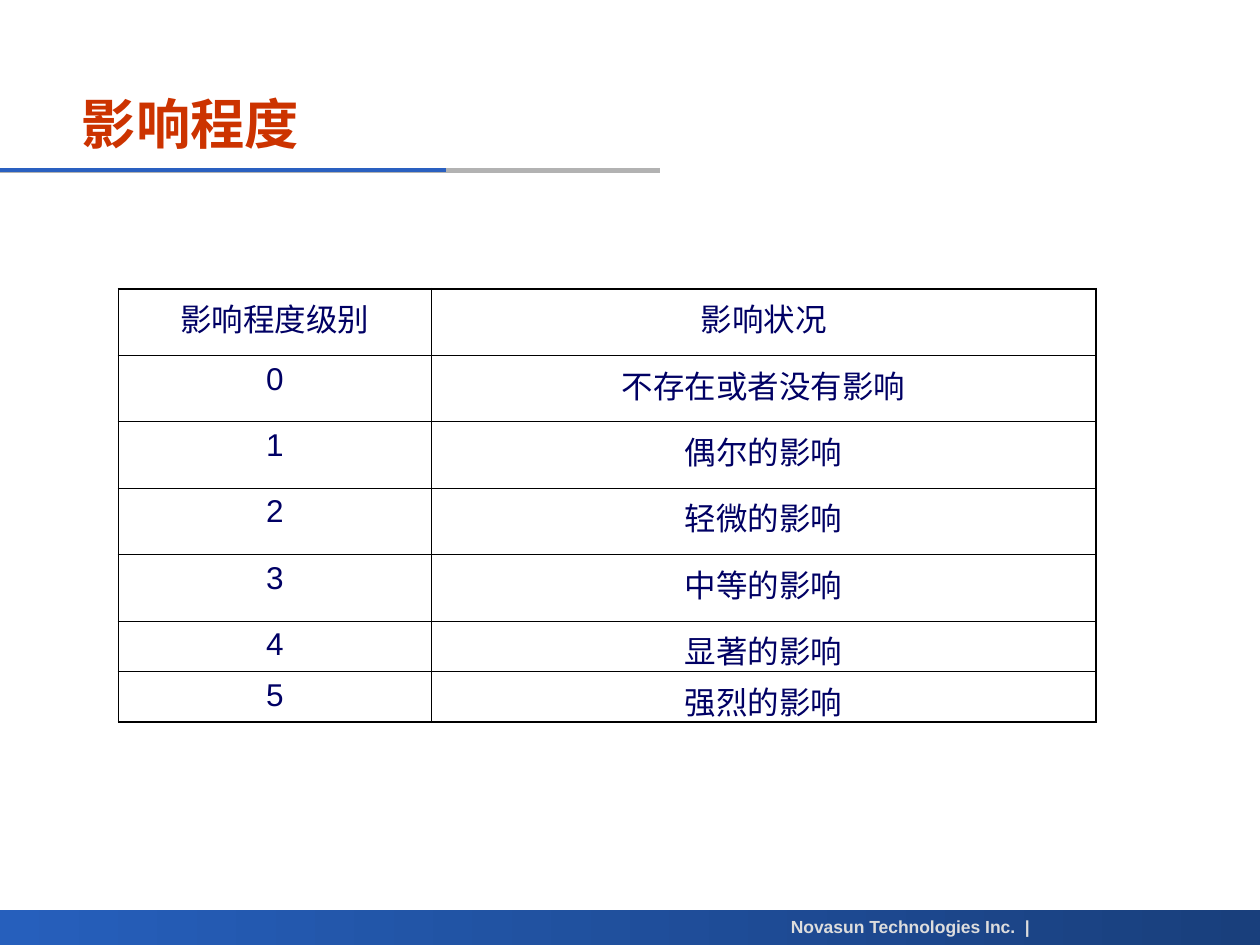
from lxml.etree import SubElement
from pptx import Presentation
from pptx.dml.color import RGBColor
from pptx.enum.shapes import MSO_CONNECTOR, MSO_SHAPE
from pptx.enum.text import MSO_ANCHOR, PP_ALIGN
from pptx.oxml.ns import qn
from pptx.util import Cm, Pt

TITLE = "影响程度"
FOOTER = "Novasun Technologies Inc.  |"
LEVELS = [
    ("影响程度级别", "影响状况"),
    ("0", "不存在或者没有影响"),
    ("1", "偶尔的影响"),
    ("2", "轻微的影响"),
    ("3", "中等的影响"),
    ("4", "显著的影响"),
    ("5", "强烈的影响"),
]
COLUMN_WIDTHS = [6.3, 13.41]
ROW_HEIGHTS = [1.34] * 5 + [1.02] * 2

FONT = "Arial"
RED = RGBColor(0xCC, 0x33, 0x00)
NAVY = RGBColor(0x00, 0x00, 0x64)
BLACK = RGBColor(0x00, 0x00, 0x00)
BLUE = RGBColor(0x2A, 0x60, 0xC0)
GREY = RGBColor(0xB2, 0xB2, 0xB2)
PALE_GREY = RGBColor(0xDD, 0xDD, 0xDD)
BAND_LIGHT = RGBColor(0x26, 0x5F, 0xBC)
BAND_DARK = RGBColor(0x19, 0x3F, 0x7C)
OUTER, INNER = Pt(1.08), Pt(0.45)


def write(frame, text, size, color, bold=False, align=PP_ALIGN.LEFT, spacing=0):
    paragraph = frame.paragraphs[0]
    paragraph.alignment = align
    if spacing:
        paragraph.space_before = paragraph.space_after = Pt(spacing)
    run = paragraph.add_run()
    run.text = text
    run.font.name = FONT
    run.font.size = Pt(size)
    run.font.bold = bold
    run.font.color.rgb = color


def add_label(slide, left, top, width, height, text, wrap=True,
              anchor=MSO_ANCHOR.TOP, **text_format):
    frame = slide.shapes.add_textbox(Cm(left), Cm(top), Cm(width), Cm(height)).text_frame
    frame.word_wrap = wrap
    frame.vertical_anchor = anchor
    write(frame, text, **text_format)


def add_rule(slide, length, color, weight):
    rule = slide.shapes.add_connector(
        MSO_CONNECTOR.STRAIGHT, 0, Cm(3.43), Cm(length), Cm(3.43))
    rule.line.color.rgb = color
    rule.line.width = Pt(weight)
    SubElement(rule.element.spPr, qn("a:effectLst"))


def add_footer_band(slide):
    band = slide.shapes.add_shape(
        MSO_SHAPE.RECTANGLE, 0, Cm(18.34), Cm(25.4), Cm(0.71))
    band.shadow.inherit = False
    band.line.fill.background()
    band.fill.gradient()
    band.fill.gradient_angle = 0
    for stop, color in zip(band.fill.gradient_stops, (BAND_LIGHT, BAND_DARK)):
        stop.color.rgb = color


def set_borders(cell, **widths):
    properties = cell._tc.get_or_add_tcPr()
    for side, width in widths.items():
        line = SubElement(properties, qn(f"a:ln{side}"), w=str(width))
        fill = SubElement(line, qn("a:solidFill"))
        SubElement(fill, qn("a:srgbClr"), val=str(BLACK))


def add_level_table(slide):
    table = slide.shapes.add_table(
        len(LEVELS), len(COLUMN_WIDTHS), Cm(2.39), Cm(5.82),
        Cm(sum(COLUMN_WIDTHS)), Cm(sum(ROW_HEIGHTS))).table
    table.first_row = table.horz_banding = False
    for column, width in zip(table.columns, COLUMN_WIDTHS):
        column.width = Cm(width)
    for row, height in zip(table.rows, ROW_HEIGHTS):
        row.height = Cm(height)
    last_row, last_column = len(LEVELS) - 1, len(COLUMN_WIDTHS) - 1
    for r, level in enumerate(LEVELS):
        for c, text in enumerate(level):
            cell = table.cell(r, c)
            set_borders(cell,
                        L=OUTER if c == 0 else INNER,
                        R=OUTER if c == last_column else INNER,
                        T=OUTER if r == 0 else INNER,
                        B=OUTER if r == last_row else INNER)
            cell.fill.background()
            write(cell.text_frame, text, size=18, color=NAVY,
                  align=PP_ALIGN.CENTER, spacing=4.5)


def main():
    presentation = Presentation()
    presentation.slide_width, presentation.slide_height = Cm(25.4), Cm(19.05)
    slide = presentation.slides.add_slide(presentation.slide_layouts[6])
    add_footer_band(slide)
    add_rule(slide, 13.3, GREY, 3)
    add_rule(slide, 9, BLUE, 2.25)
    add_label(slide, 15.62, 18.34, 5.39, 0.69, FOOTER, wrap=False,
              size=10, color=PALE_GREY, bold=True, align=PP_ALIGN.RIGHT)
    add_label(slide, 1.4, 1.63, 17.58, 1.7, TITLE, anchor=MSO_ANCHOR.MIDDLE,
              size=31, color=RED, bold=True)
    add_level_table(slide)
    presentation.save("out.pptx")


if __name__ == "__main__":
    main()
